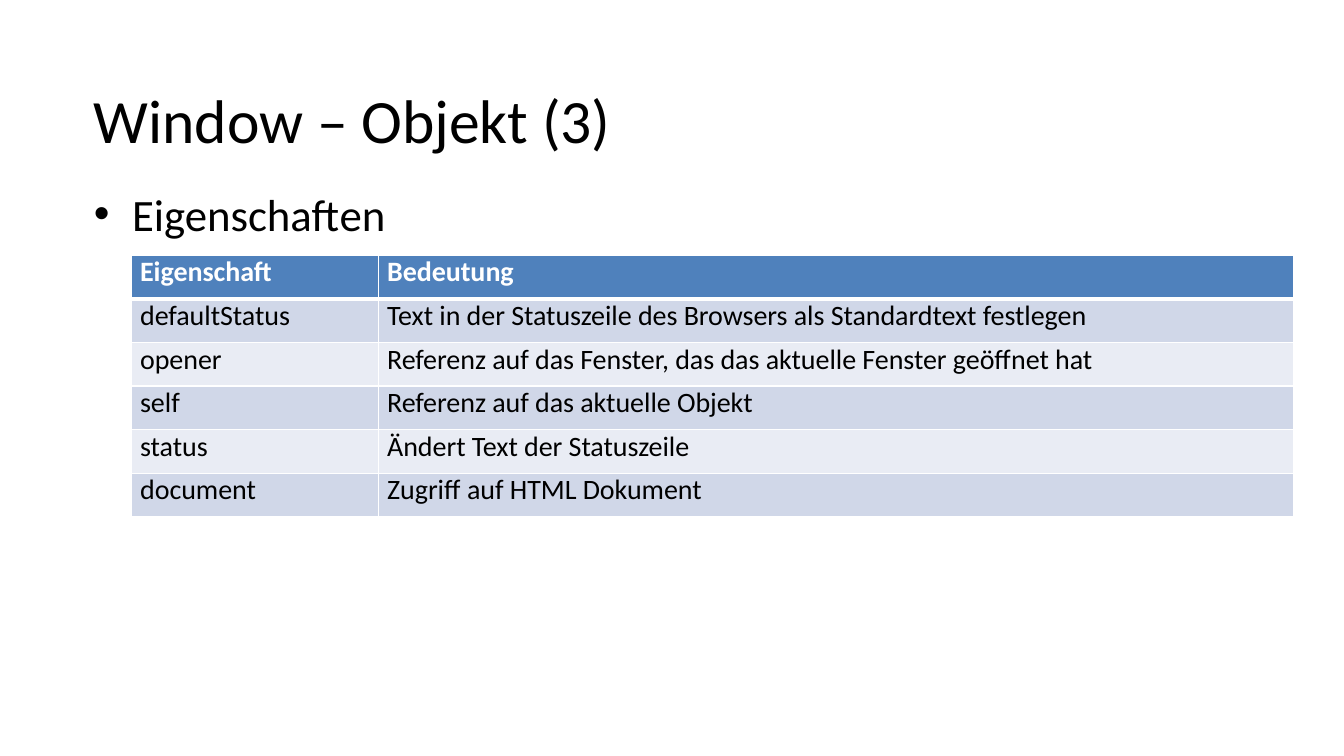
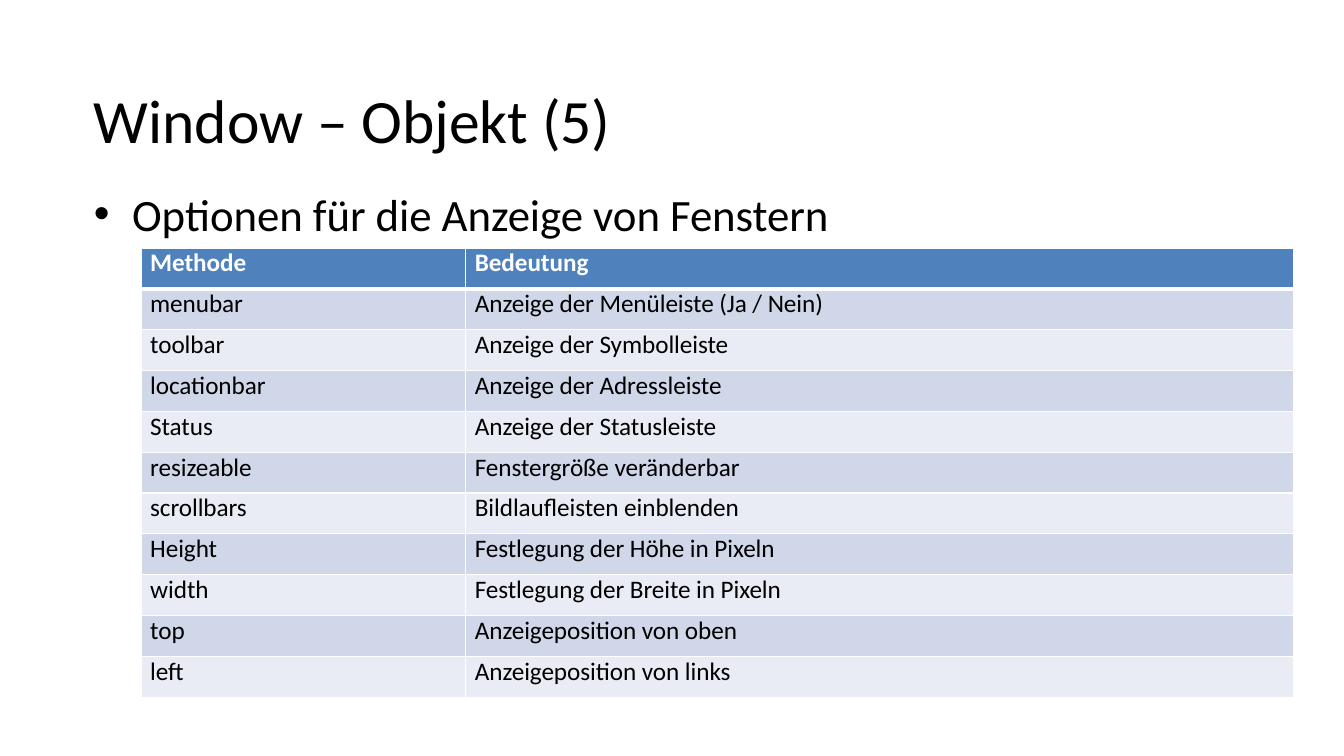
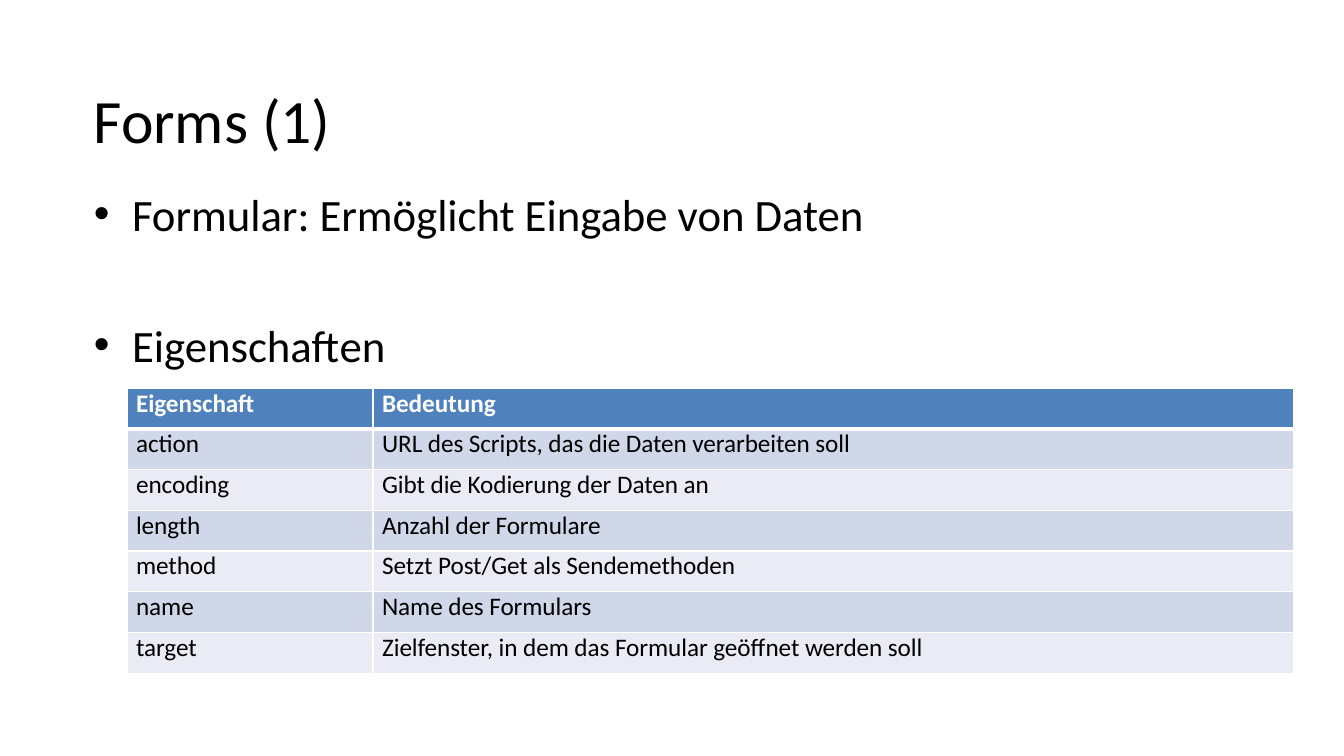
from dataclasses import dataclass

import pptx
import pptx.dml.color
import pptx.enum.text
import pptx.oxml
import pptx.oxml.ns
import pptx.util
from pptx.util import Inches

# Shared style
FONT = "Calibri"
BLACK, WHITE = "000000", "FFFFFF"
HEADER_FILL = "4F81BC"
BAND_FILLS = ("D0D7E8", "E9ECF4")
LETTER_SPACING = -5  # hundredths of a point
MARGIN_LEFT = 0.92
TABLE_RIGHT = 12.83


@dataclass(frozen=True)
class PropertyTable:
    left: float
    top: float
    height: float
    first_column: float
    text_size: int
    rows: list[tuple[str, str]]


@dataclass(frozen=True)
class Topic:
    title: str
    bullets: list[str]
    bullets_width: float
    bullets_height: float
    table: PropertyTable


TOPICS = [
    Topic(
        "Window – Objekt (3)", ["Eigenschaften"], 2.93, 0.57,
        PropertyTable(1.3, 2.53, 2.6, 2.45, 20, [
            ("Eigenschaft", "Bedeutung"),
            ("defaultStatus", "Text in der Statuszeile des Browsers als Standardtext festlegen"),
            ("opener", "Referenz auf das Fenster, das das aktuelle Fenster geöffnet hat"),
            ("self", "Referenz auf das aktuelle Objekt"),
            ("status", "Ändert Text der Statuszeile"),
            ("document", "Zugriff auf HTML Dokument"),
        ]),
    ),
    Topic(
        "Window – Objekt (5)", ["Optionen für die Anzeige von Fenstern"], 7.35, 0.57,
        PropertyTable(1.4, 2.46, 4.46, 3.22, 18, [
            ("Methode", "Bedeutung"),
            ("menubar", "Anzeige der Menüleiste (Ja / Nein)"),
            ("toolbar", "Anzeige der Symbolleiste"),
            ("locationbar", "Anzeige der Adressleiste"),
            ("Status", "Anzeige der Statusleiste"),
            ("resizeable", "Fenstergröße veränderbar"),
            ("scrollbars", "Bildlaufleisten einblenden"),
            ("Height", "Festlegung der Höhe in Pixeln"),
            ("width", "Festlegung der Breite in Pixeln"),
            ("top", "Anzeigeposition von oben"),
            ("left", "Anzeigeposition von links"),
        ]),
    ),
    Topic(
        "Forms (1)", ["Formular: Ermöglicht Eingabe von Daten", "Eigenschaften"], 7.7, 1.85,
        PropertyTable(1.26, 3.85, 2.83, 2.44, 18, [
            ("Eigenschaft", "Bedeutung"),
            ("action", "URL des Scripts, das die Daten verarbeiten soll"),
            ("encoding", "Gibt die Kodierung der Daten an"),
            ("length", "Anzahl der Formulare"),
            ("method", "Setzt Post/Get als Sendemethoden"),
            ("name", "Name des Formulars"),
            ("target", "Zielfenster, in dem das Formular geöffnet werden soll"),
        ]),
    ),
]


def rgb(value: str) -> pptx.dml.color.RGBColor:
    return pptx.dml.color.RGBColor.from_string(value)


def set_paragraph(paragraph, text: str, size: float, color: str = BLACK,
                  bold: bool = False, space_before: float = 0) -> None:
    paragraph.text = text
    paragraph.space_before = pptx.util.Pt(space_before)
    for run in paragraph.runs:
        run.font.name = FONT
        run.font.size = pptx.util.Pt(size)
        run.font.bold = bold
        run.font.color.rgb = rgb(color)
        run._r.get_or_add_rPr().set("spc", str(LETTER_SPACING))


def add_text_frame(slide, left: float, top: float, width: float, height: float):
    box = slide.shapes.add_textbox(Inches(left), Inches(top), Inches(width), Inches(height))
    frame = box.text_frame
    frame.word_wrap = True
    frame.margin_left = frame.margin_right = frame.margin_top = frame.margin_bottom = 0
    return frame


def add_title(slide, title: str) -> None:
    frame = add_text_frame(slide, MARGIN_LEFT, 0.5, 11.5, 1.35)
    frame.margin_left = Inches(0.01)
    frame.vertical_anchor = pptx.enum.text.MSO_ANCHOR.MIDDLE
    set_paragraph(frame.paragraphs[0], title, 44)


def add_bullets(slide, topic: Topic) -> None:
    frame = add_text_frame(slide, MARGIN_LEFT, 1.85, topic.bullets_width, topic.bullets_height)
    for index, bullet in enumerate(topic.bullets):
        paragraph = frame.add_paragraph() if index else frame.paragraphs[0]
        set_paragraph(paragraph, bullet, 32, space_before=55 if index else 0)
        properties = paragraph._p.get_or_add_pPr()
        properties.set("marL", str(Inches(0.39)))
        properties.set("indent", str(Inches(-0.38)))
        for tag, attribute, value in (("buFont", "typeface", "Arial"), ("buChar", "char", "•")):
            properties.append(pptx.oxml.parse_xml(
                f'<a:{tag} {pptx.oxml.ns.nsdecls("a")} {attribute}="{value}"/>'))


def set_borders(cell, top: float, bottom: float) -> None:
    properties = cell._tc.get_or_add_tcPr()
    widths = {"lnL": 1, "lnR": 1, "lnT": top, "lnB": bottom}
    for position, (side, width) in enumerate(widths.items()):
        properties.insert(position, pptx.oxml.parse_xml(
            f'<a:{side} {pptx.oxml.ns.nsdecls("a")} w="{pptx.util.Pt(width)}">'
            f'<a:solidFill><a:srgbClr val="{WHITE}"/></a:solidFill></a:{side}>'))


def add_property_table(slide, spec_table: PropertyTable) -> None:
    rows = spec_table.rows
    width = TABLE_RIGHT - spec_table.left
    table = slide.shapes.add_table(
        len(rows), 2, Inches(spec_table.left), Inches(spec_table.top),
        Inches(width), Inches(spec_table.height)).table
    table.columns[0].width = Inches(spec_table.first_column)
    table.columns[1].width = Inches(width - spec_table.first_column)
    for row, texts in enumerate(rows):
        table.rows[row].height = Inches(spec_table.height / len(rows))
        header = row == 0
        for column, text in enumerate(texts):
            cell = table.cell(row, column)
            cell.margin_left = Inches(0.09)
            cell.margin_right = cell.margin_top = cell.margin_bottom = 0
            cell.fill.solid()
            cell.fill.fore_color.rgb = rgb(HEADER_FILL if header else BAND_FILLS[(row - 1) % 2])
            set_borders(cell, top=3 if row == 1 else 1, bottom=3 if header else 1)
            set_paragraph(cell.text_frame.paragraphs[0], text, spec_table.text_size,
                          WHITE if header else BLACK, header, 0.9 if row == 1 else 1.9)


def main() -> None:
    presentation = pptx.Presentation()
    presentation.slide_width = Inches(13.33)
    presentation.slide_height = Inches(7.5)
    for topic in TOPICS:
        slide = presentation.slides.add_slide(presentation.slide_layouts[6])
        add_title(slide, topic.title)
        add_bullets(slide, topic)
        add_property_table(slide, topic.table)
    presentation.save("out.pptx")


if __name__ == "__main__":
    main()
